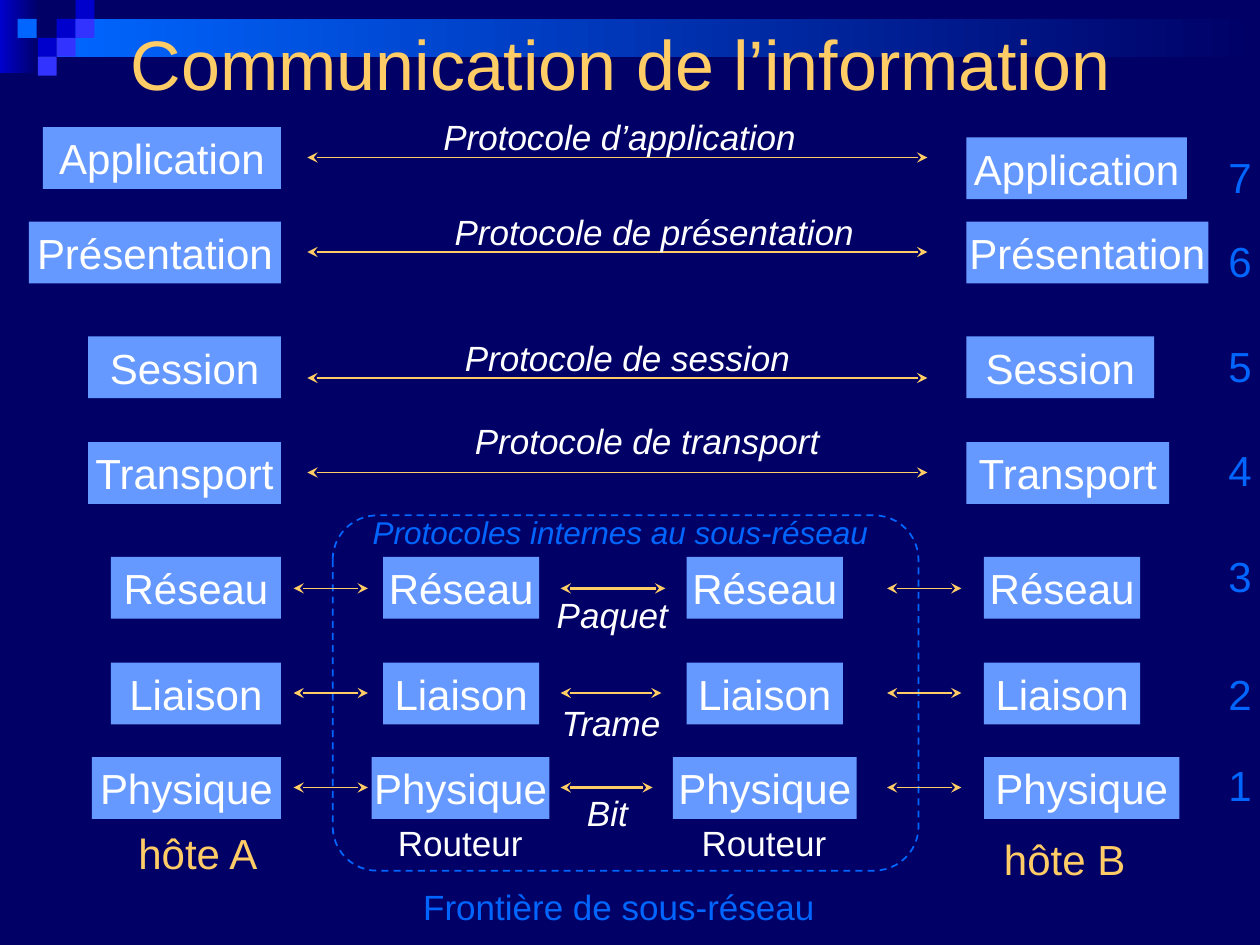
"""Build a slide on how information passes between network layers."""
from typing import NamedTuple

from lxml.etree import SubElement
from pptx import Presentation
from pptx.dml.color import RGBColor as RGB
from pptx.enum.dml import MSO_LINE
from pptx.enum.shapes import MSO_CONNECTOR as LINK, MSO_SHAPE as SHAPE
from pptx.enum.text import MSO_ANCHOR as ANCHOR, PP_ALIGN as ALIGN
from pptx.oxml.ns import qn
from pptx.shapes.autoshape import Shape
from pptx.slide import Slide
from pptx.text.text import TextFrame
from pptx.util import Inches, Pt

NAVY = RGB(0x00, 0x00, 0x66)
DEEP = RGB(0x00, 0x00, 0xCC)
IRIS = RGB(0x33, 0x33, 0xFF)
BLUE = RGB(0x00, 0x66, 0xFF)
SKY = RGB(0x66, 0x99, 0xFF)
GOLD = RGB(0xFF, 0xCC, 0x66)
WHITE = RGB(0xFF, 0xFF, 0xFF)
FONT = "Arial"
BOX_H = 0.49
HOST_A = 2.23
TILE = 0.15


class Tile(NamedTuple):
    left: float
    top: float
    color: RGB


class Label(NamedTuple):
    text: str
    left: float
    top: float
    width: float
    height: float = 0.43
    size: int = 20
    color: RGB = WHITE
    italic: bool = False


class Box(NamedTuple):
    left: float
    width: float


class Upper(NamedTuple):
    name: str
    top_a: float
    top_b: float
    width_a: float
    width_b: float
    line: float


class Lower(NamedTuple):
    name: str
    top: float
    line: float
    end: float
    boxes: tuple[Box, ...]


TILES = [
    Tile(0.45, 0.15, DEEP), Tile(0.6, 0, DEEP), Tile(0.6, 0.15, IRIS),
    Tile(0.3, 0.3, DEEP), Tile(0.14, 0.15, BLUE), Tile(0.45, 0.3, IRIS),
    Tile(0.3, 0.45, IRIS),
]
UPPERS = [
    Upper("Application", 1.01, 1.09, 1.89, 1.75, 1.25),
    Upper("Présentation", 1.76, 1.76, 2, 1.92, 2),
    Upper("Session", 2.67, 2.67, 1.53, 1.49, 3),
    Upper("Transport", 3.51, 3.51, 1.53, 1.61, 3.75),
]
INNER = (Box(0.88, 1.35), Box(3.04, 1.24), Box(5.45, 1.24), Box(7.81, 1.24))
BASE = (Box(0.73, 1.5), Box(2.95, 1.41), Box(5.34, 1.46), Box(7.81, 1.55))
LOWERS = [
    Lower("Réseau", 4.42, 4.67, 5.28, INNER),
    Lower("Liaison", 5.26, 5.5, 5.25, INNER),
    Lower("Physique", 6.01, 6.25, 5.18, BASE),
]
LABELS = [
    Label("Protocole d’application", 3.42, 0.87, 3, italic=True),
    Label("Protocole de présentation", 3.51, 1.62, 3.37, italic=True),
    Label("Protocole de session", 3.59, 2.62, 2.79, italic=True),
    Label("Protocole de transport", 3.67, 3.28, 2.94, italic=True),
    Label("Protocoles internes au sous-réseau", 2.86, 4.02, 4.14, 0.4, 18, BLUE, True),
    Label("Paquet", 4.32, 4.66, 1.08, italic=True),
    Label("Trame", 4.36, 5.52, 1.01, italic=True),
    Label("Bit", 4.56, 6.23, 0.53, italic=True),
    Label("Routeur", 3.06, 6.47, 1.19),
    Label("Routeur", 5.47, 6.47, 1.19),
    Label("Frontière de sous-réseau", 3.26, 6.98, 3.31, color=BLUE),
    Label("hôte A", 1, 6.52, 1.17, 0.5, 24, GOLD),
    Label("hôte B", 7.87, 6.57, 1.17, 0.5, 24, GOLD),
]
LEVELS = [1.15, 1.82, 2.65, 3.48, 4.32, 5.26, 5.98]


def add_rect(slide: Slide, left: float, top: float, width: float, height: float,
             kind: SHAPE = SHAPE.RECTANGLE) -> Shape:
    rect = slide.shapes.add_shape(
        kind, Inches(left), Inches(top), Inches(width), Inches(height))
    rect.shadow.inherit = False
    rect.line.fill.background()
    return rect


def add_fade(slide: Slide, left: float, top: float, width: float, height: float,
             color: RGB) -> None:
    fill = add_rect(slide, left, top, width, height).fill
    fill.gradient()
    fill.gradient_angle = 0
    for stop, shade in zip(fill.gradient_stops, (color, NAVY)):
        stop.color.rgb = shade


def fill_rect(rect: Shape, color: RGB) -> None:
    rect.fill.solid()
    rect.fill.fore_color.rgb = color


def set_text(frame: TextFrame, text: str, size: int, color: RGB,
             italic: bool = False) -> None:
    frame.text = text
    font = frame.paragraphs[0].font
    font.name, font.size, font.italic = FONT, Pt(size), italic
    font.color.rgb = color


def add_label(slide: Slide, label: Label) -> TextFrame:
    frame = slide.shapes.add_textbox(
        Inches(label.left), Inches(label.top),
        Inches(label.width), Inches(label.height)).text_frame
    frame.word_wrap = False
    set_text(frame, label.text, label.size, label.color, label.italic)
    return frame


def add_box(slide: Slide, name: str, left: float, top: float, width: float) -> None:
    rect = add_rect(slide, left, top, width, BOX_H)
    fill_rect(rect, SKY)
    frame = rect.text_frame
    frame.word_wrap = False
    frame.vertical_anchor = ANCHOR.MIDDLE
    set_text(frame, name, 24, WHITE)
    frame.paragraphs[0].alignment = ALIGN.CENTER


def add_arrow(slide: Slide, start: float, end: float, top: float,
              weight: float = 1) -> None:
    arrow = slide.shapes.add_connector(
        LINK.STRAIGHT, Inches(start), Inches(top), Inches(end), Inches(top))
    arrow.line.color.rgb = GOLD
    arrow.line.width = Pt(weight)
    for tag in ("a:headEnd", "a:tailEnd"):
        SubElement(arrow.line._get_or_add_ln(), qn(tag), type="stealth")
    SubElement(arrow._element.spPr, qn("a:effectLst"))


def main() -> None:
    deck = Presentation()
    deck.slide_width, deck.slide_height = Inches(10), Inches(7.5)
    slide = deck.slides.add_slide(deck.slide_layouts[6])
    slide.background.fill.solid()
    slide.background.fill.fore_color.rgb = NAVY

    add_fade(slide, 0, 0, 0.31, 0.58, DEEP)
    add_fade(slide, 0.45, 0.15, 9.55, 0.3, BLUE)
    for tile in TILES:
        fill_rect(add_rect(slide, tile.left, tile.top, TILE, TILE), tile.color)

    title = add_label(slide, Label("Communication de l’information",
                                   0.35, 0, 9.15, 0.99, 40, GOLD))
    title.word_wrap = True
    title.vertical_anchor = ANCHOR.MIDDLE
    title.paragraphs[0].alignment = ALIGN.CENTER

    border = add_rect(slide, 2.64, 4.09, 4.65, 2.82, SHAPE.ROUNDED_RECTANGLE)
    border.adjustments[0] = 0.125
    border.fill.background()
    border.line.color.rgb = BLUE
    border.line.width = Pt(1)
    border.line.dash_style = MSO_LINE.DASH

    for row in UPPERS:
        add_box(slide, row.name, HOST_A - row.width_a, row.top_a, row.width_a)
        add_box(slide, row.name, 7.67, row.top_b, row.width_b)
        add_arrow(slide, 2.44, 7.36, row.line)
    for row in LOWERS:
        for box in row.boxes:
            add_box(slide, row.name, box.left, row.top, box.width)
        add_arrow(slide, 2.33, 2.92, row.line)
        add_arrow(slide, 4.45, row.end, row.line, 1.5)
        add_arrow(slide, 7.04, 7.63, row.line)

    for label in LABELS:
        add_label(slide, label)
    for index, top in enumerate(LEVELS):
        add_label(slide, Label(str(7 - index), 9.65, top, 0.39, 0.5, 24, BLUE))
    deck.save("out.pptx")


if __name__ == "__main__":
    main()
